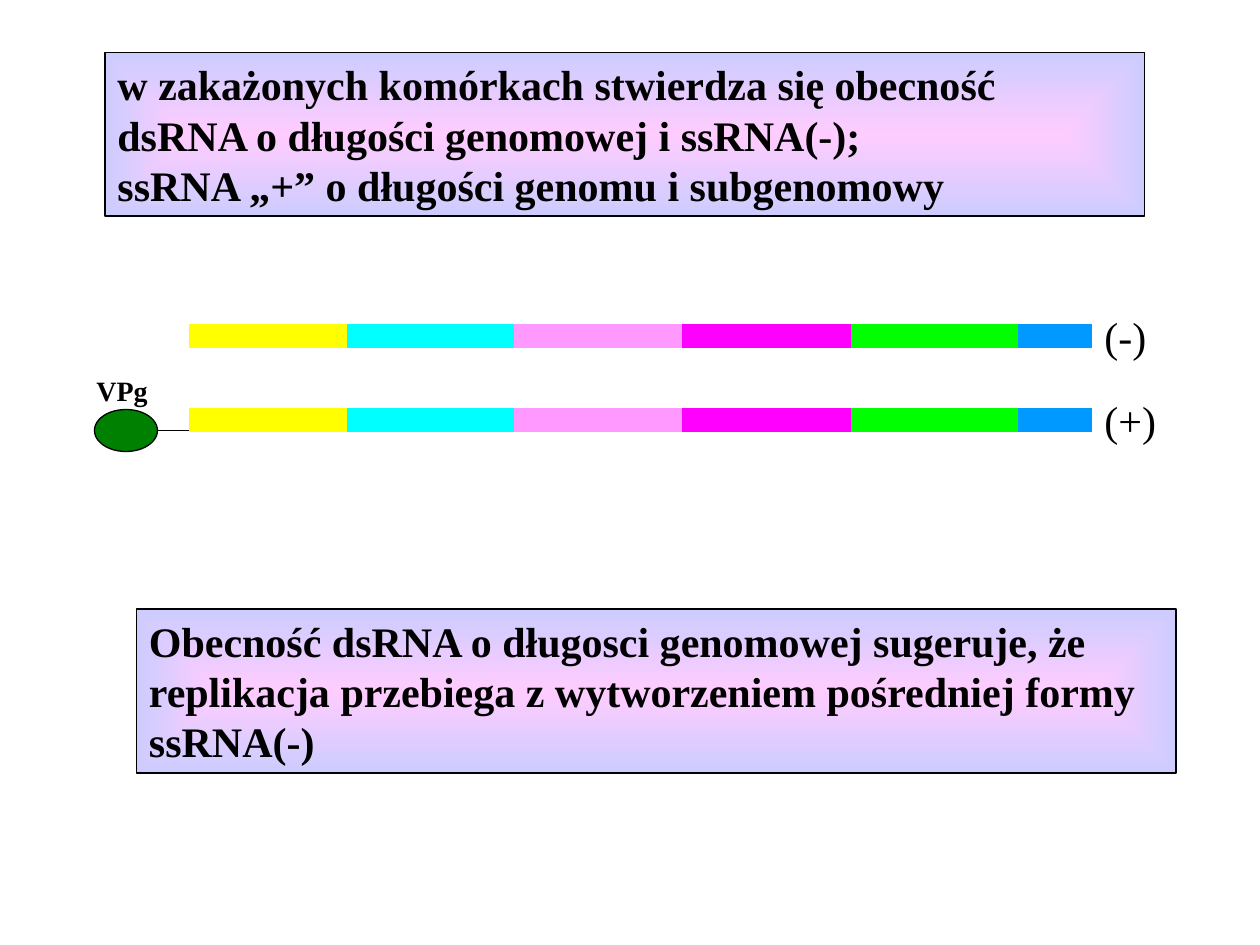
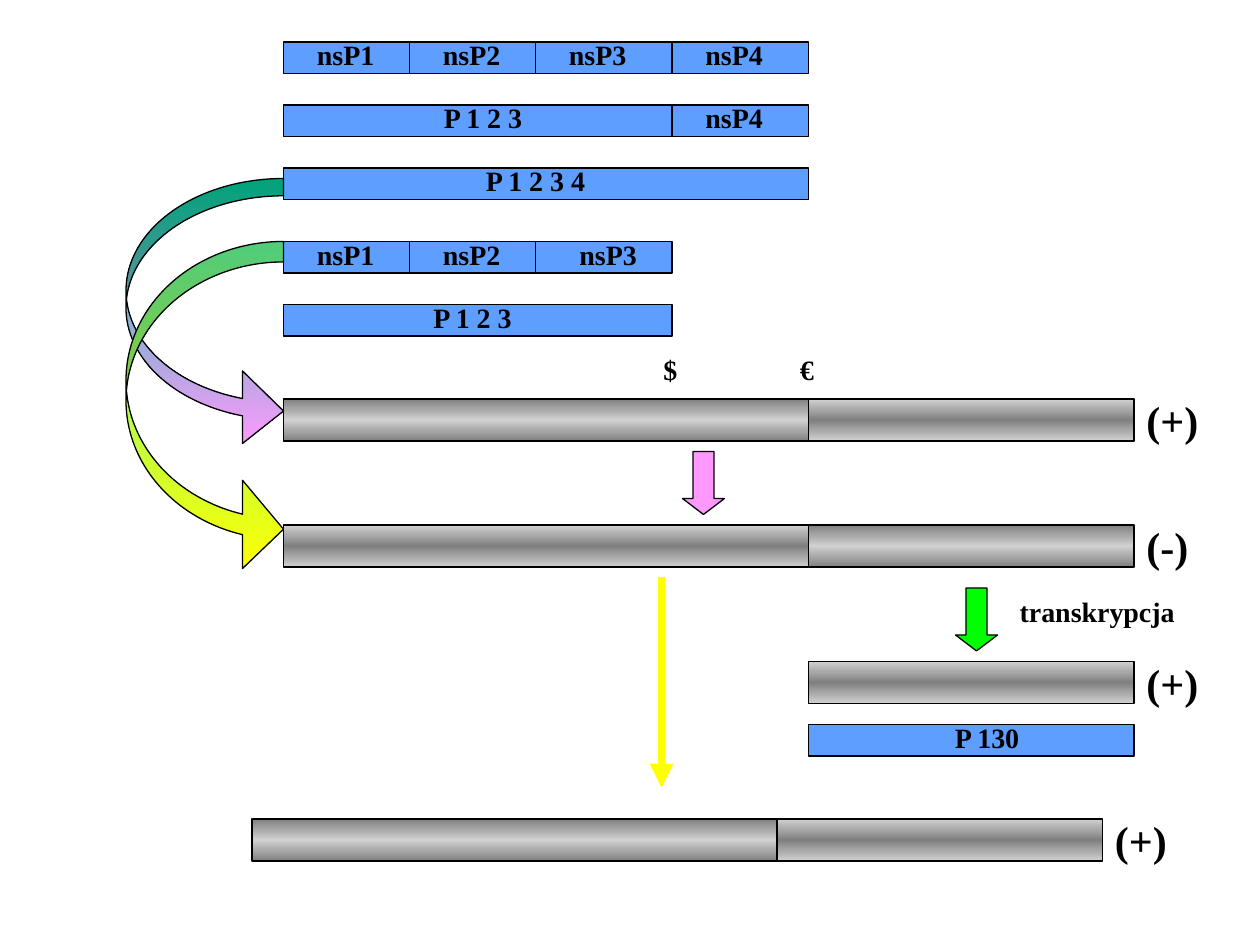
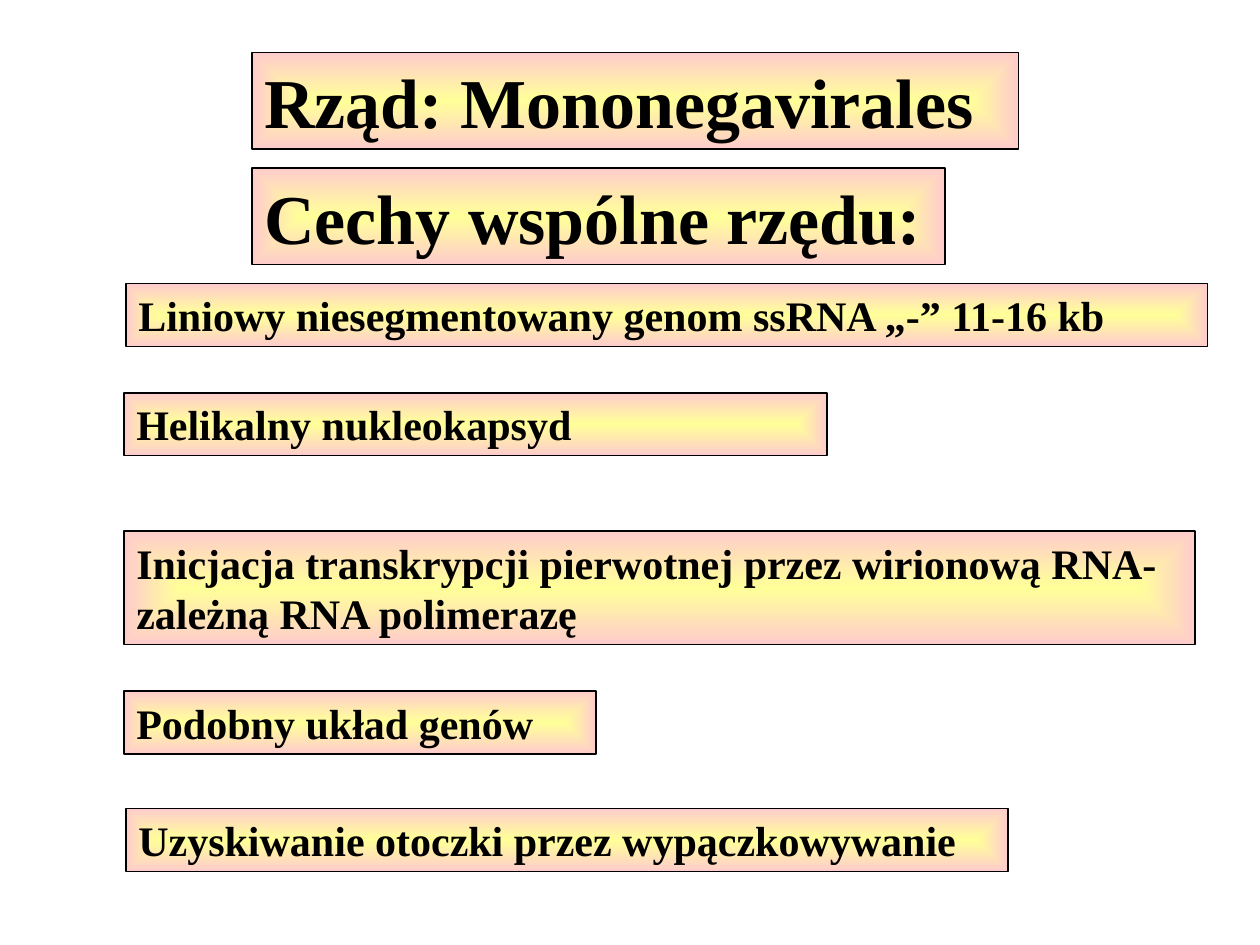
from lxml.etree import SubElement
from pptx import Presentation
from pptx.dml.color import RGBColor
from pptx.enum.shapes import MSO_CONNECTOR, MSO_SHAPE
from pptx.enum.text import MSO_ANCHOR, MSO_AUTO_SIZE, PP_ALIGN
from pptx.oxml import parse_xml
from pptx.oxml.ns import nsdecls, qn
from pptx.util import Emu, Inches, Pt

SLIDE_WIDTH, SLIDE_HEIGHT = Inches(10), Inches(7.5)
GRID_COLUMNS = 120
CELL = SLIDE_WIDTH // GRID_COLUMNS

FONT = "Times New Roman"
SMALL, MEDIUM, LARGE = 16, 24, 40
LABEL_HEIGHT = {SMALL: 4.4, MEDIUM: 6, LARGE: 9.2}

BLACK = RGBColor(0x00, 0x00, 0x00)
YELLOW = RGBColor(0xFF, 0xFF, 0x00)
CYAN = RGBColor(0x00, 0xFF, 0xFF)
PINK = RGBColor(0xFF, 0x99, 0xFF)
MAGENTA = RGBColor(0xFF, 0x00, 0xFF)
GREEN = RGBColor(0x00, 0xFF, 0x00)
AZURE = RGBColor(0x00, 0x99, 0xFF)
DARK_GREEN = RGBColor(0x00, 0x80, 0x00)
PROTEIN_BLUE = RGBColor(0x5E, 0x9E, 0xFF)
TEAL = RGBColor(0x00, 0xCC, 0x99)
MINT = RGBColor(0x66, 0xFF, 0x99)
GRAY = RGBColor(0x80, 0x80, 0x80)
SILVER = RGBColor(0xD0, 0xD0, 0xD0)

LILAC_PANEL = (RGBColor(0xFF, 0xCC, 0xFF), RGBColor(0xCC, 0xCC, 0xFF))
PEACH_PANEL = (RGBColor(0xFF, 0xFF, 0x99), RGBColor(0xFF, 0xCC, 0xCC))
DARK_EDGES = (GRAY, SILVER, GRAY)
LIGHT_EDGES = (SILVER, GRAY, SILVER)

GENES = [(18, YELLOW), (33, CYAN), (49, PINK), (65, MAGENTA), (81, GREEN), (97, AZURE)]
GENOME_END = 104

PROTEINS = [
    (27, 4, 12, "nsP1", 29, 8),
    (39, 4, 12, "nsP2", 41, 8),
    (51, 4, 13, "nsP3", 53, 8),
    (64, 4, 13, "nsP4", 66, 8),
    (27, 10, 37, "P 1 2 3", 30, 32),
    (64, 10, 13, "nsP4", 66, 8),
    (27, 16, 50, "P 1 2 3 4", 35, 32),
    (27, 23, 12, "nsP1", 29, 8),
    (39, 23, 12, "nsP2", 41, 8),
    (51, 23, 13, "nsP3", 54, 8),
    (27, 29, 37, "P 1 2 3", 29, 32),
    (77, 69, 31, "P 130", 78, 32),
]

ORDER_FEATURES = [
    (24, 5, 73, LARGE, 1, "Rząd: Mononegavirales"),
    (24, 16, 66, LARGE, 1, "Cechy wspólne rzędu:"),
    (12, 27, 103, MEDIUM, 1, "Liniowy niesegmentowany genom ssRNA „-” 11-16 kb"),
    (11.8, 37.4, 67, MEDIUM, 1, "Helikalny nukleokapsyd"),
    (11.8, 50.6, 102, MEDIUM, 2,
     "Inicjacja transkrypcji pierwotnej przez wirionową RNA-zależną RNA polimerazę"),
    (11.8, 65.8, 45, MEDIUM, 1, "Podobny układ genów"),
    (12, 77, 84, MEDIUM, 1, "Uzyskiwanie otoczki przez wypączkowywanie"),
]


def cells(*counts):
    """Turn counts of grid cells into lengths."""
    return [Emu(round(count * CELL)) for count in counts]


def fill_gradient(shape, colors, direction):
    """Spread the colours evenly over the shape along the given direction."""
    shape.fill.background()
    last = len(colors) - 1
    stops = "".join(
        f'<a:gs pos="{100000 * i // last}"><a:srgbClr val="{color}"/></a:gs>'
        for i, color in enumerate(colors))
    gradient = parse_xml(
        f'<a:gradFill {nsdecls("a")} rotWithShape="1"><a:gsLst>{stops}</a:gsLst>{direction}</a:gradFill>')
    properties = shape._element.spPr
    properties.replace(properties.find(qn("a:noFill")), gradient)


def fill_downward(shape, colors):
    """Run the colours from top to bottom."""
    fill_gradient(shape, colors, '<a:lin ang="5400000" scaled="0"/>')


def fill_from_centre(shape, colors):
    """Run the colours from the centre to the edges."""
    fill_gradient(shape, colors, '<a:path path="rect">'
                  '<a:fillToRect l="50000" t="50000" r="50000" b="50000"/></a:path>')


def add_outlined(slide, kind, box, color=None, width=0.75):
    """Add a preset shape with a black outline and an optional plain fill."""
    shape = slide.shapes.add_shape(kind, *cells(*box))
    shape.shadow.inherit = False
    shape.line.color.rgb = BLACK
    shape.line.width = Pt(width)
    if color is not None:
        shape.fill.solid()
        shape.fill.fore_color.rgb = color
    return shape


def add_line(slide, start, end, color, width):
    """Add a straight line between two grid points."""
    line = slide.shapes.add_connector(MSO_CONNECTOR.STRAIGHT, *cells(*start, *end))
    line.line.color.rgb = color
    line.line.width = Pt(width)
    SubElement(line._element.spPr, qn("a:effectLst"))
    return line


def write(shape, text, size, bold=True, align=PP_ALIGN.LEFT):
    """Put one wrapped paragraph at the top of a shape."""
    frame = shape.text_frame
    frame.word_wrap = True
    frame.auto_size = MSO_AUTO_SIZE.SHAPE_TO_FIT_TEXT
    frame.vertical_anchor = MSO_ANCHOR.TOP
    frame.text = text
    paragraph = frame.paragraphs[0]
    paragraph.alignment = align
    paragraph.font.name = FONT
    paragraph.font.size = Pt(size)
    paragraph.font.bold = bold
    paragraph.font.color.rgb = BLACK


def add_label(slide, column, row, width, text, size=SMALL, **style):
    """Add a one-line text box."""
    label = slide.shapes.add_textbox(*cells(column, row, width, LABEL_HEIGHT[size]))
    write(label, text, size, **style)


def add_panel(slide, box, colors, text, size=MEDIUM):
    """Add a statement on a glowing panel."""
    panel = add_outlined(slide, MSO_SHAPE.RECTANGLE, box, width=1)
    fill_from_centre(panel, colors)
    write(panel, text, size)


def add_gene_map(slide, row, sign):
    """Draw the coloured genes of one strand and its polarity."""
    ends = [start for start, _ in GENES[1:]] + [GENOME_END]
    for (start, color), end in zip(GENES, ends):
        add_line(slide, (start, row), (end, row), color, 14)
    add_label(slide, GENOME_END, row - 3, 8, sign, MEDIUM, bold=False)


def add_vpg(slide, column, row):
    """Draw the VPg protein with its link to the genome."""
    add_outlined(slide, MSO_SHAPE.OVAL, (column, row, 6, 4), DARK_GREEN)
    add_label(slide, column - 1, row - 4, 9, "VPg")
    add_line(slide, (column + 9, row + 2), (column + 6, row + 2), BLACK, 0.75)


def add_rna(slide, column, row, width, colors):
    """Draw one shaded piece of RNA."""
    rna = add_outlined(slide, MSO_SHAPE.RECTANGLE, (column, row, width, 4))
    fill_downward(rna, colors)


def add_strand(slide, column, row, sign, shades):
    """Draw a full-length strand of two pieces with its polarity."""
    add_rna(slide, column, row, 50, shades[0])
    add_rna(slide, column + 50, row, 31, shades[1])
    add_label(slide, column + 81, row - 1, 8, sign, MEDIUM)


def add_protein(slide, column, row, width, name, name_column, name_width):
    """Draw a protein bar and its name."""
    add_outlined(slide, MSO_SHAPE.RECTANGLE, (column, row, width, 3), PROTEIN_BLUE)
    align = PP_ALIGN.CENTER if name_width > 8 else PP_ALIGN.LEFT
    add_label(slide, name_column, row - 1, name_width, name, align=align)


def add_curve(slide, box, colors, proportions):
    """Draw a shaded arrow from a protein round to the strand it copies."""
    curve = add_outlined(slide, MSO_SHAPE.CURVED_RIGHT_ARROW, box)
    fill_downward(curve, colors)
    for i, proportion in enumerate(proportions):
        curve.adjustments[i] = proportion


def add_step(slide, column, row, color):
    """Draw a block arrow to the next strand."""
    step = add_outlined(slide, MSO_SHAPE.DOWN_ARROW, (column, row, 4, 6), color)
    step.adjustments[0], step.adjustments[1] = 0.5, 0.38


def build_genome_slide(slide):
    """Show the double-stranded genome between two statements."""
    add_gene_map(slide, 40, "(+)")
    add_vpg(slide, 9, 39)
    add_gene_map(slide, 32, "(-)")
    add_panel(slide, (13, 58, 99, 15.6), LILAC_PANEL,
              "Obecność dsRNA o długosci genomowej sugeruje, że replikacja "
              "przebiega z wytworzeniem pośredniej formy ssRNA(-)")
    add_panel(slide, (10, 5, 99, 15.6), LILAC_PANEL,
              "w zakażonych komórkach stwierdza się obecność dsRNA o długości "
              "genomowej i ssRNA(-);\vssRNA „+” o długości genomu i subgenomowy")


def build_replication_slide(slide):
    """Show the proteins and the strands they help to copy."""
    plus_shades = (DARK_EDGES, LIGHT_EDGES)
    add_strand(slide, 27, 38, "(+)", plus_shades)
    for protein in PROTEINS:
        add_protein(slide, *protein)
    add_curve(slide, (12, 17, 15, 25.6), (TEAL, PINK), (0.11, 0.46, 0.26))
    add_label(slide, 62, 33, 4, "$")
    add_label(slide, 75, 33, 4, "€")
    add_strand(slide, 27, 50, "(-)", plus_shades[::-1])
    add_step(slide, 65, 43, PINK)
    add_rna(slide, 77, 63, 31, LIGHT_EDGES)
    add_label(slide, 108, 62, 8, "(+)", MEDIUM)
    add_step(slide, 91, 56, GREEN)
    add_label(slide, 95, 56, 19, "transkrypcja", align=PP_ALIGN.CENTER)
    add_curve(slide, (12, 23, 15, 31.6), (MINT, YELLOW), (0.13, 0.56, 0.26))
    replication = add_line(slide, (63, 55), (63, 75), YELLOW, 4.5)
    outline = replication._element.spPr.find(qn("a:ln"))
    SubElement(outline, qn("a:tailEnd"), type="triangle")
    add_strand(slide, 24, 78, "(+)", plus_shades)


def build_order_slide(slide):
    """List the common features of the order."""
    for column, row, width, size, lines, text in ORDER_FEATURES:
        height = LABEL_HEIGHT[size] + 4.8 * (lines - 1)
        add_panel(slide, (column, row, width, height), PEACH_PANEL, text, size)


def main():
    """Build the slides and save them."""
    deck = Presentation()
    deck.slide_width, deck.slide_height = SLIDE_WIDTH, SLIDE_HEIGHT
    for build in (build_genome_slide, build_replication_slide, build_order_slide):
        build(deck.slides.add_slide(deck.slide_layouts[6]))
    deck.save("out.pptx")


if __name__ == "__main__":
    main()
